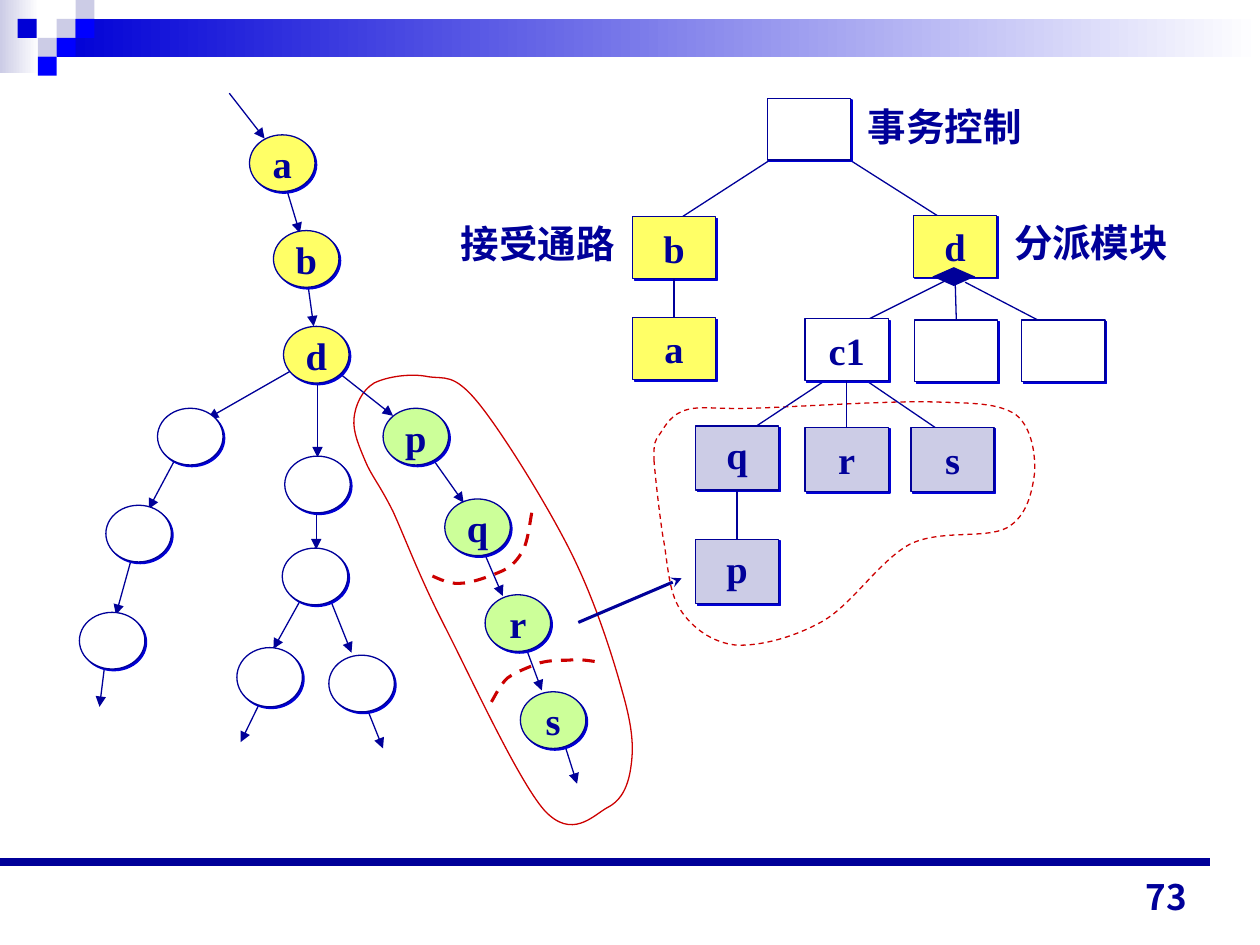
"""Builds a slide that maps a transaction flow graph to its module structure."""
from dataclasses import dataclass
from typing import Optional

from lxml.etree import SubElement
from pptx import Presentation
from pptx.dml.color import RGBColor
from pptx.enum.dml import MSO_LINE
from pptx.enum.shapes import MSO_CONNECTOR, MSO_SHAPE
from pptx.enum.text import MSO_ANCHOR, PP_ALIGN
from pptx.oxml.ns import qn
from pptx.util import Inches, Pt

NAVY = RGBColor(0x00, 0x00, 0x99)
ROYAL = RGBColor(0x00, 0x00, 0xD6)
BLUE = RGBColor(0x00, 0x00, 0xFF)
LAVENDER = RGBColor(0xCC, 0xCC, 0xE6)
YELLOW = RGBColor(0xFF, 0xFF, 0x66)
GREEN = RGBColor(0xCC, 0xFF, 0x99)
RED = RGBColor(0xCC, 0x00, 0x00)
WHITE = RGBColor(0xFF, 0xFF, 0xFF)
SERIF, SANS = "Times New Roman", "Noto Sans CJK JP"
TOP, BOTTOM = 0, 2
TILE = 0.15


@dataclass
class Node:
    left: float
    top: float
    text: str = ""
    fill: RGBColor = WHITE
    height: float = 0.45
    width: float = 0.52
    kind: MSO_SHAPE = MSO_SHAPE.OVAL
    spacing: Optional[float] = None


@dataclass
class Module(Node):
    height: float = 0.49
    width: float = 0.66
    kind: MSO_SHAPE = MSO_SHAPE.RECTANGLE


@dataclass
class Outline:
    points: list
    width: float = 0.75
    dashed: bool = False
    closed: bool = True


FLOW_NODES = [
    Node(1.98, 1.07, "a", YELLOW), Node(2.17, 1.83, "b", YELLOW), Node(2.25, 2.59, "d", YELLOW),
    Node(3.04, 3.24, "p", GREEN), Node(3.53, 3.96, "q", GREEN),
    Node(3.85, 4.72, "r", GREEN), Node(4.13, 5.49, "s", GREEN),
    Node(2.26, 3.62), Node(2.24, 4.35), Node(1.88, 5.14, height=0.47), Node(2.61, 5.2),
    Node(1.25, 3.24), Node(0.84, 4.01), Node(0.63, 4.86),
]
FLOW_ARROWS = [
    (1.82, 0.74, 2.1, 1.1), (2.28, 1.52, 2.38, 1.85), (2.44, 2.23, 2.49, 2.59),
    (2.69, 2.96, 3.12, 3.3), (3.39, 3.58, 3.68, 3.99), (3.84, 4.38, 3.99, 4.73),
    (4.17, 5.13, 4.3, 5.48), (4.44, 5.78, 4.58, 6.22), (2.52, 3, 2.52, 3.63),
    (2.51, 3.9, 2.51, 4.36), (2.42, 4.7, 2.17, 5.15), (2.59, 4.68, 2.79, 5.18),
    (2.84, 5.44, 3.04, 5.94), (2.11, 5.48, 1.91, 5.89), (2.35, 2.92, 1.65, 3.32),
    (1.42, 3.59, 1.18, 4.04), (1.05, 4.41, 0.92, 4.88), (0.84, 5.21, 0.79, 5.61),
]
MODULES = {
    "control": Module(6.09, 0.78),
    "b": Module(5.02, 1.72, "b", YELLOW),
    "a": Module(5.02, 2.52, "a", YELLOW),
    "c1": Module(6.39, 2.53, "c1"),
    "c2": Module(7.26, 2.54),
    "c3": Module(8.11, 2.54),
    "d": Module(7.25, 1.71, "d", YELLOW),
    "q": Module(5.52, 3.38, "q", LAVENDER, 0.51, spacing=0.85),
    "r": Module(6.39, 3.39, "r", LAVENDER, 0.51),
    "s": Module(7.23, 3.39, "s", LAVENDER, 0.51),
    "p": Module(5.52, 4.28, "p", LAVENDER, 0.51, spacing=0.85),
}
VERTICAL_CALLS = [("b", "a"), ("d", "c2"), ("c1", "r"), ("q", "p")]
SLANTED_CALLS = [
    (5.4, 1.73, 6.22, 1.2), (6.65, 1.21, 7.5, 1.75), (6.64, 2.96, 5.93, 3.43),
    (6.8, 2.97, 7.55, 3.48), (7.52, 2.22, 6.8, 2.58), (7.66, 2.24, 8.41, 2.63),
]
LABELS = [("分派模块", 7.95, 1.69), ("事务控制", 6.79, 0.77), ("接受通路", 3.56, 1.7)]
TILES = [(0.45, 0.15, LAVENDER), (0.6, 0, LAVENDER), (0.6, 0.15, BLUE), (0.3, 0.3, LAVENDER),
         (0.14, 0.15, ROYAL), (0.45, 0.3, BLUE), (0.3, 0.45, BLUE)]
MODULE_REGION = Outline([
    (5.19, 3.65), (5.2, 3.78), (5.23, 4.05), (5.26, 4.25), (5.3, 4.45), (5.3, 4.69), (5.4, 4.84),
    (5.49, 4.98), (5.65, 5.1), (5.84, 5.12), (6.03, 5.13), (6.3, 5.06), (6.53, 4.93),
    (6.76, 4.8), (6.98, 4.45), (7.22, 4.32), (7.46, 4.2), (7.82, 4.28), (7.99, 4.19),
    (8.15, 4.1), (8.19, 3.91), (8.21, 3.76), (8.22, 3.61), (8.19, 3.39), (8.06, 3.29),
    (7.92, 3.2), (7.74, 3.2), (7.4, 3.19), (7.05, 3.18), (6.31, 3.23), (5.99, 3.24),
    (5.66, 3.25), (5.58, 3.22), (5.46, 3.25), (5.33, 3.28), (5.28, 3.38), (5.24, 3.44),
    (5.19, 3.51), (5.19, 3.51), (5.19, 3.65)], dashed=True)
FLOW_REGION = Outline([
    (3.12, 4.06), (3.01, 3.84), (2.95, 3.78), (2.9, 3.66), (2.85, 3.54), (2.8, 3.43), (2.81, 3.32),
    (2.82, 3.22), (2.87, 3.1), (2.97, 3.04), (3.07, 2.99), (3.26, 2.96), (3.4, 2.99),
    (3.53, 3.01), (3.6, 2.96), (3.79, 3.19), (3.98, 3.42), (4.34, 4), (4.53, 4.38),
    (4.72, 4.76), (4.86, 5.2), (4.94, 5.49), (5.02, 5.77), (5.03, 5.92), (5.01, 6.07),
    (4.99, 6.23), (4.94, 6.35), (4.82, 6.41), (4.71, 6.47), (4.54, 6.67), (4.32, 6.43),
    (4.11, 6.19), (3.73, 5.36), (3.53, 4.97), (3.33, 4.58), (3.22, 4.28), (3.12, 4.06)])
CUTS = [
    Outline([(4.22, 4.07), (4.2, 4.18), (4.19, 4.29), (4.15, 4.37), (4.11, 4.44), (4.07, 4.49),
             (3.99, 4.53), (3.9, 4.57), (3.74, 4.63), (3.65, 4.63), (3.55, 4.64), (3.44, 4.57),
             (3.4, 4.56)], 1.75, True, False),
    Outline([(4.72, 5.25), (4.65, 5.24), (4.59, 5.23), (4.51, 5.24), (4.44, 5.24), (4.37, 5.24),
             (4.29, 5.26), (4.21, 5.29), (4.1, 5.33), (4.03, 5.38), (3.96, 5.44), (3.91, 5.57),
             (3.88, 5.6)], 1.75, True, False),
]


def write(shape, text: str, *, size: float = 22, font: str = SERIF, align=PP_ALIGN.LEFT,
          anchor=MSO_ANCHOR.TOP, wrap: bool = False, spacing: Optional[float] = None) -> None:
    frame = shape.text_frame
    frame.word_wrap, frame.vertical_anchor = wrap, anchor
    paragraph = frame.paragraphs[0]
    paragraph.alignment, paragraph.line_spacing = align, spacing
    run = paragraph.add_run()
    run.text = text
    run.font.size, run.font.name, run.font.bold = Pt(size), font, True
    run.font.color.rgb = NAVY


def add_box(shapes, kind, left: float, top: float, width: float, height: float, fill: RGBColor):
    box = shapes.add_shape(kind, Inches(left), Inches(top), Inches(width), Inches(height))
    box.shadow.inherit = False
    box.fill.solid()
    box.fill.fore_color.rgb = fill
    box.line.fill.background()
    return box


def add_band(shapes, left: float, top: float, width: float, height: float, color: RGBColor) -> None:
    band = add_box(shapes, MSO_SHAPE.RECTANGLE, left, top, width, height, color)
    band.fill.gradient()
    band.fill.gradient_angle = 180
    for stop, shade in zip(band.fill.gradient_stops, (WHITE, color)):
        stop.color.rgb = shade


def add_node(shapes, node: Node):
    shape = add_box(shapes, node.kind, node.left, node.top, node.width, node.height, node.fill)
    shape.line.color.rgb, shape.line.width = NAVY, Pt(0.75)
    effects = shape._element.spPr.find(qn("a:effectLst"))
    shadow = SubElement(effects, qn("a:outerShdw"), dist=str(Pt(1.4)), dir="2700000",
                        algn="ctr", rotWithShape="0")
    SubElement(shadow, qn("a:srgbClr"), val=str(ROYAL))
    if node.text:
        write(shape, node.text, align=PP_ALIGN.CENTER, anchor=MSO_ANCHOR.MIDDLE,
              spacing=node.spacing)
    return shape


def add_line(shapes, ends: tuple, width: float = 0.75, arrow: str = ""):
    line = shapes.add_connector(MSO_CONNECTOR.STRAIGHT, *map(Inches, ends))
    line.line.color.rgb, line.line.width = NAVY, Pt(width)
    if arrow:
        SubElement(line.line._get_or_add_ln(), qn("a:tailEnd"), type=arrow, w="med", len="med")
    SubElement(line._element.spPr, qn("a:effectLst"))
    return line


def bend(shape, points: list) -> None:
    """Turns each straight segment of a freeform into a cubic curve."""
    segments = list(shape._element.iter(qn("a:lnTo")))
    for index, segment in enumerate(segments):
        segment.clear()
        segment.tag = qn("a:cubicBezTo")
        for x, y in points[3 * index + 1:3 * index + 4]:
            SubElement(segment, qn("a:pt"), x=str(Inches(x) - shape.left),
                       y=str(Inches(y) - shape.top))


def add_outline(shapes, outline: Outline) -> None:
    start, *anchors = [tuple(map(Inches, point)) for point in outline.points[::3]]
    builder = shapes.build_freeform(*start)
    builder.add_line_segments(anchors, close=outline.closed)
    shape = builder.convert_to_shape()
    bend(shape, outline.points)
    shape.shadow.inherit = False
    if outline.closed:
        shape.fill.solid()
        shape.fill.fore_color.rgb = WHITE
    else:
        shape.fill.background()
    shape.line.color.rgb, shape.line.width = RED, Pt(outline.width)
    if outline.dashed:
        shape.line.dash_style = MSO_LINE.DASH


def add_label(shapes, text: str, left: float, top: float, width: float = 1.42,
              height: float = 0.47, **style) -> None:
    label = shapes.add_textbox(Inches(left), Inches(top), Inches(width), Inches(height))
    write(label, text, **style)


def main() -> None:
    deck = Presentation()
    deck.slide_width, deck.slide_height = Inches(10), Inches(7.5)
    shapes = deck.slides.add_slide(deck.slide_layouts[6]).shapes
    add_band(shapes, 0, 0, 0.31, 0.58, LAVENDER)
    add_band(shapes, 0.45, 0.15, 9.55, 0.3, ROYAL)
    for left, top, color in TILES:
        add_box(shapes, MSO_SHAPE.RECTANGLE, left, top, TILE, TILE, color)
    add_line(shapes, (0, 6.84, 9.6, 6.84), 4.5)
    for region in (MODULE_REGION, FLOW_REGION):
        add_outline(shapes, region)
    for ends in FLOW_ARROWS:
        add_line(shapes, ends, arrow="triangle")
    for node in FLOW_NODES:
        add_node(shapes, node)
    for ends in SLANTED_CALLS:
        add_line(shapes, ends)
    modules = {key: add_node(shapes, module) for key, module in MODULES.items()}
    for caller, callee in VERTICAL_CALLS:
        call = add_line(shapes, (0, 0, 0, 0))
        call.begin_connect(modules[caller], BOTTOM)
        call.end_connect(modules[callee], TOP)
    add_box(shapes, MSO_SHAPE.DIAMOND, 7.4, 2.12, 0.34, 0.15, NAVY)
    for text, left, top in LABELS:
        add_label(shapes, text, left, top)
    for cut in CUTS:
        add_outline(shapes, cut)
    add_line(shapes, (4.59, 4.94, 5.41, 4.59), 1.75, "stealth")
    add_label(shapes, "73", 7.19, 6.83, 2.33, 0.5, size=20, font=SANS, align=PP_ALIGN.RIGHT,
              anchor=MSO_ANCHOR.BOTTOM, wrap=True)
    deck.save("out.pptx")


if __name__ == "__main__":
    main()
